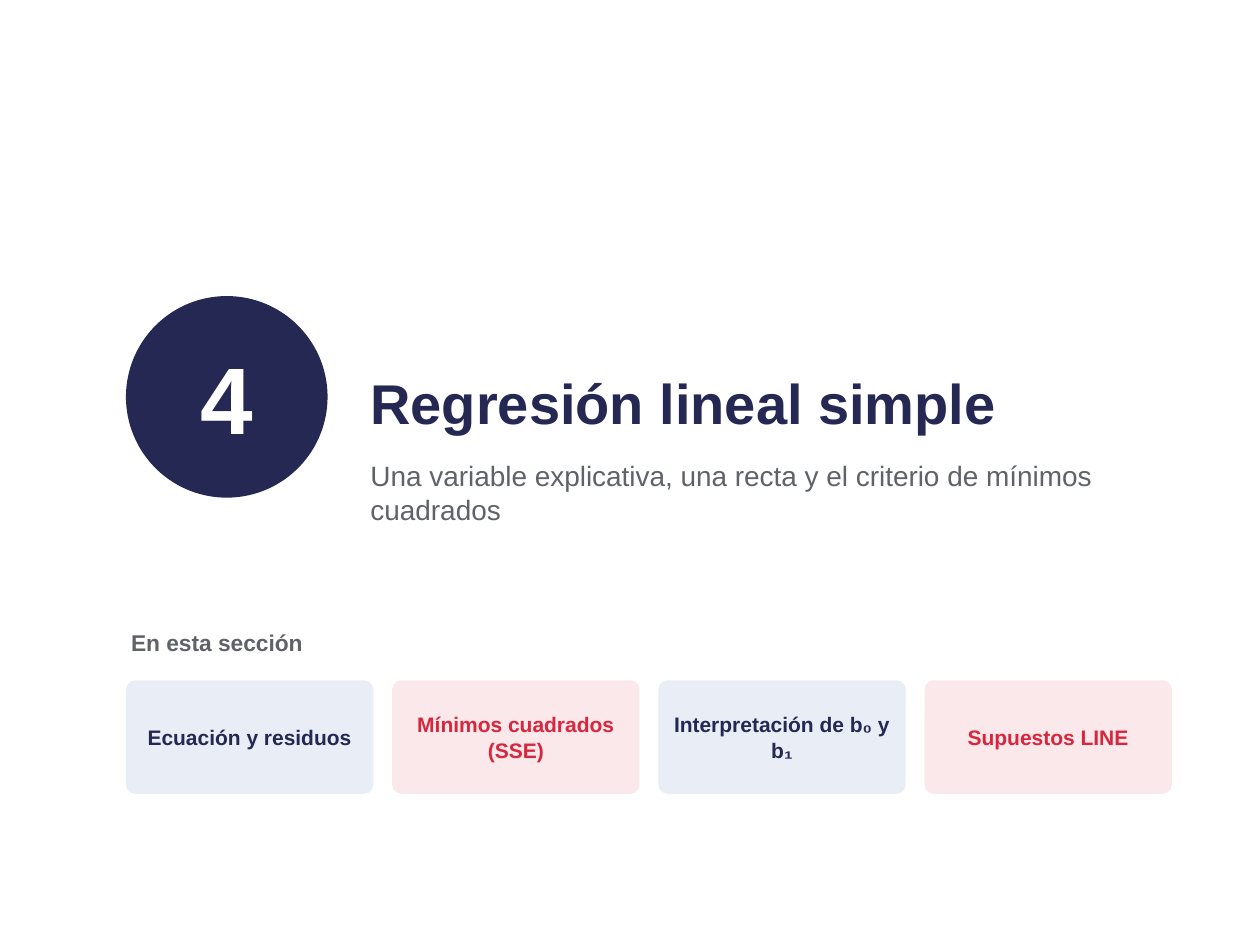
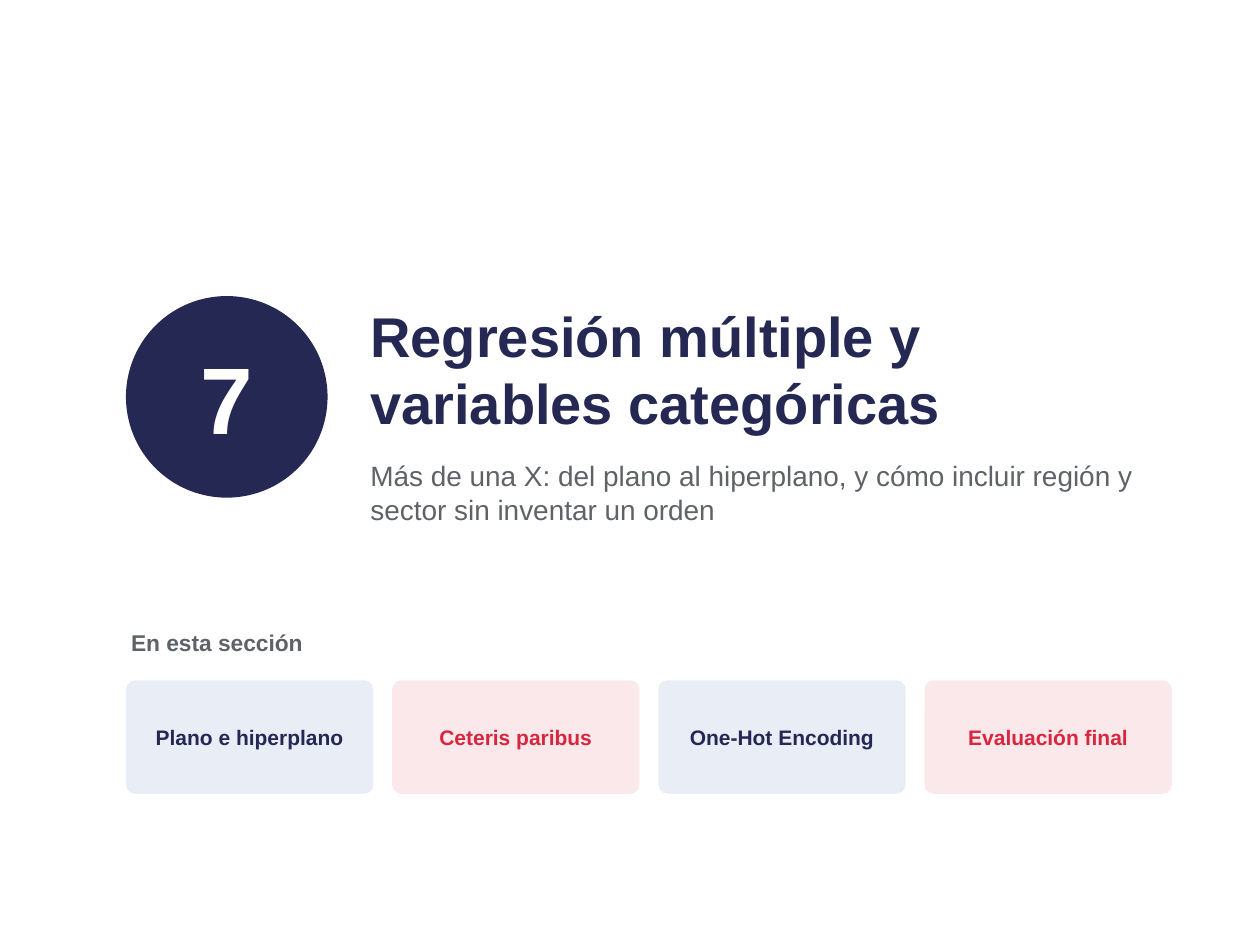
import dataclasses

import pptx
import pptx.dml.color
import pptx.enum.shapes
import pptx.enum.text
import pptx.util

PX = 2286
FONT = "Arial"
HUES = {
    "navy": "242852",
    "red": "D7263D",
    "gray": "5F6368",
    "white": "FFFFFF",
    "mist": "E8EDF6",
    "rose": "FBE8EA",
}
TONES = [("mist", "navy"), ("rose", "red")]
LEFT, WIDTH, GAP = 400, 3320, 60
FORM = pptx.enum.shapes.MSO_SHAPE
ANCHOR = pptx.enum.text.MSO_ANCHOR
ALIGN = pptx.enum.text.PP_ALIGN


@dataclasses.dataclass(frozen=True)
class Box:
    """Hold a place on the slide in px."""
    left: int
    top: int
    width: int
    height: int

    def emu(self) -> list[int]:
        """Give the four lengths in EMU."""
        return [n * PX for n in dataclasses.astuple(self)]


@dataclasses.dataclass(frozen=True)
class Part:
    """Hold the words of one section slide."""
    number: str
    title: str
    lead: str
    topics: tuple[str, ...]


PARTS = [
    Part(
        "4",
        "Regresión lineal simple",
        "Una variable explicativa, una recta y el criterio de mínimos cuadrados",
        ("Ecuación y residuos", "Mínimos cuadrados (SSE)",
         "Interpretación de b₀ y b₁", "Supuestos LINE"),
    ),
    Part(
        "7",
        "Regresión múltiple y variables categóricas",
        "Más de una X: del plano al hiperplano, y cómo incluir región y sector sin inventar un orden",
        ("Plano e hiperplano", "Ceteris paribus",
         "One-Hot Encoding", "Evaluación final"),
    ),
]


def color(name: str) -> pptx.dml.color.RGBColor:
    """Look up a named colour."""
    return pptx.dml.color.RGBColor.from_string(HUES[name])


def write(shape, text: str, *, size: int, hue: str, bold: bool = True,
          inset: int = 16, after: int = 4, align=ALIGN.LEFT, anchor=ANCHOR.TOP) -> None:
    """Put formatted text into a shape."""
    frame = shape.text_frame
    frame.word_wrap = True
    frame.vertical_anchor = anchor
    frame.margin_left = frame.margin_right = inset * PX
    frame.margin_top = frame.margin_bottom = inset * PX
    line = frame.paragraphs[0]
    line.alignment = align
    line.space_after = pptx.util.Pt(after)
    run = line.add_run()
    run.text = text
    run.font.name = FONT
    run.font.size = pptx.util.Pt(size)
    run.font.bold = bold
    run.font.color.rgb = color(hue)


def label(slide, box: Box, text: str, **style) -> None:
    """Add a text box that fits its text."""
    shape = slide.shapes.add_textbox(*box.emu())
    write(shape, text, **style)
    shape.text_frame.auto_size = pptx.enum.text.MSO_AUTO_SIZE.SHAPE_TO_FIT_TEXT


def badge(slide, form, box: Box, text: str, fill: str, **style):
    """Add a filled shape with centred text."""
    shape = slide.shapes.add_shape(form, *box.emu())
    shape.shadow.inherit = False
    shape.fill.solid()
    shape.fill.fore_color.rgb = color(fill)
    shape.line.fill.background()
    write(shape, text, inset=32, after=3, align=ALIGN.CENTER,
          anchor=ANCHOR.MIDDLE, **style)
    return shape


def cards(slide, topics: tuple[str, ...]) -> None:
    """Add a row of topic cards in alternating tones."""
    count = len(topics)
    width = (WIDTH - GAP * (count - 1)) // count
    for i, topic in enumerate(topics):
        fill, hue = TONES[i % len(TONES)]
        box = Box(LEFT + i * (width + GAP), 2160, width, 360)
        card = badge(slide, FORM.ROUNDED_RECTANGLE, box, topic, fill, size=12, hue=hue)
        card.adjustments[0] = 0.08


def section(deck, part: Part) -> None:
    """Add one section slide."""
    slide = deck.slides.add_slide(deck.slide_layouts[6])
    label(slide, Box(LEFT, 1980, WIDTH, 160), "En esta sección", size=13, hue="gray")
    cards(slide, part.topics)
    badge(slide, FORM.OVAL, Box(LEFT, 940, 640, 640), part.number, "navy",
          size=54, hue="white")
    label(slide, Box(1160, 800, 2560, 600), part.title, size=32, hue="navy",
          anchor=ANCHOR.BOTTOM)
    label(slide, Box(1160, 1440, 2560, 480), part.lead, size=16, hue="gray", bold=False)


def main() -> None:
    """Build and save the deck."""
    deck = pptx.Presentation()
    deck.slide_width, deck.slide_height = 4000 * PX, 3000 * PX
    for part in PARTS:
        section(deck, part)
    deck.save("out.pptx")


if __name__ == "__main__":
    main()
